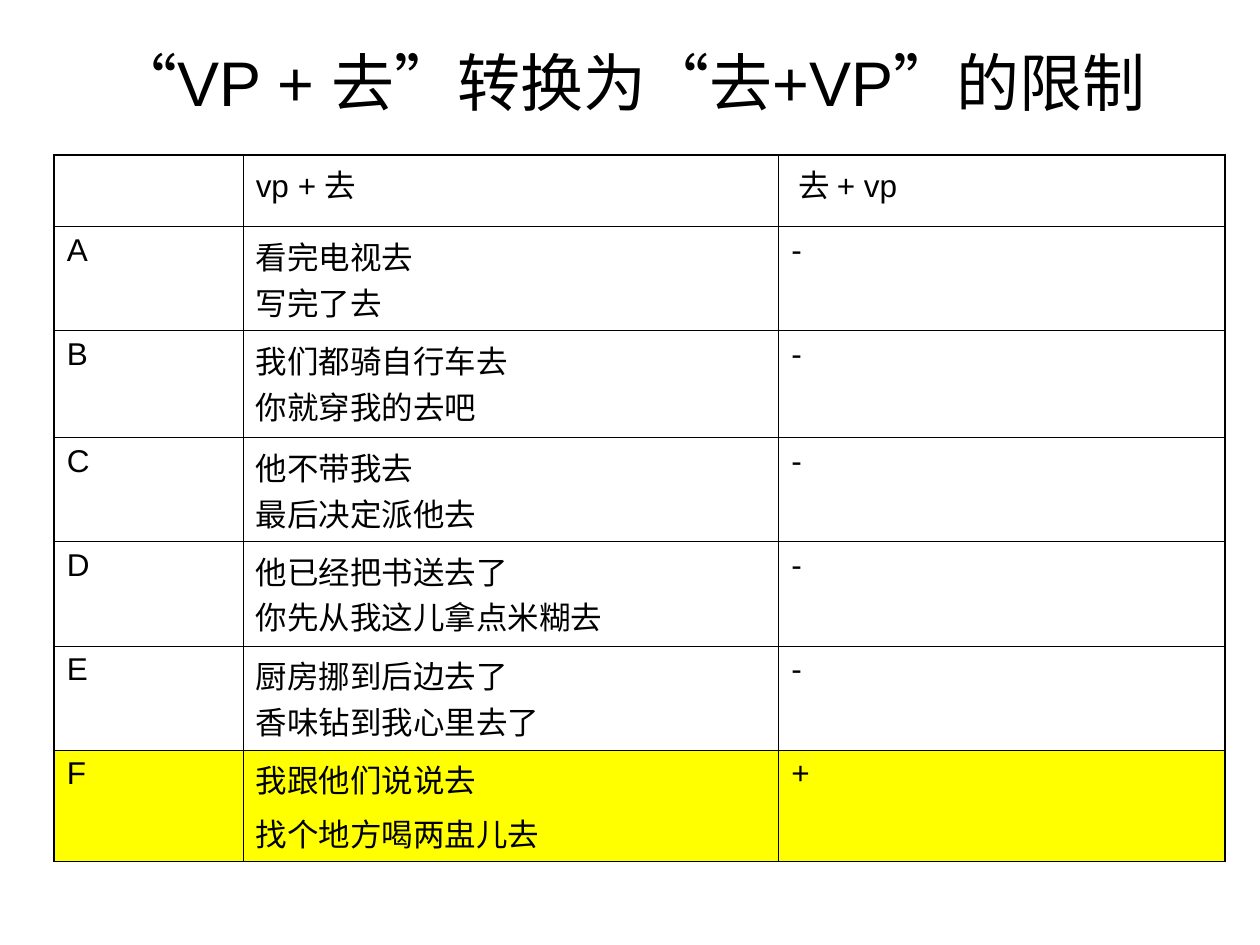
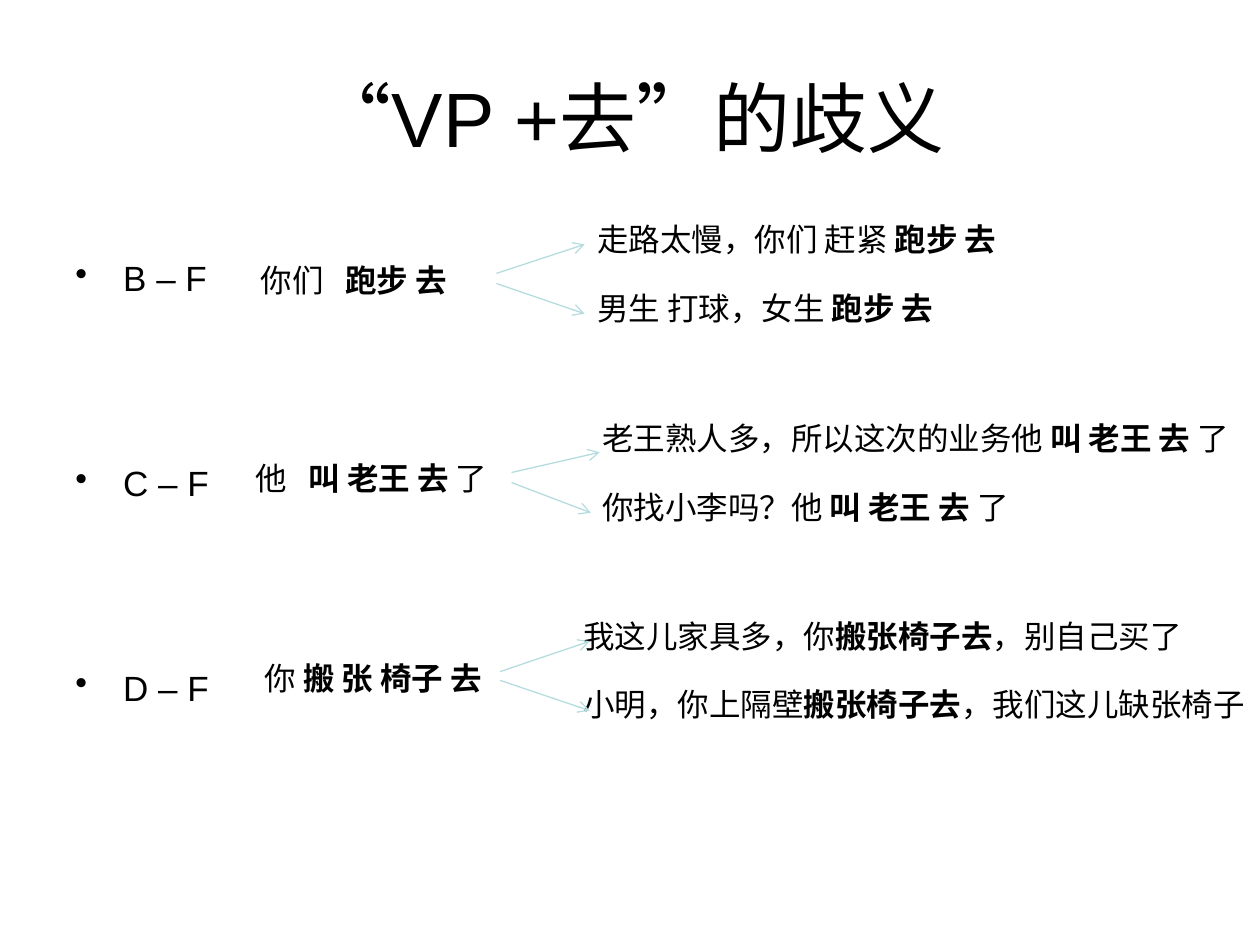
"""Build two slides on the limits and the ambiguity of the VP + 去 construction."""
from typing import NamedTuple

from pptx import Presentation
from pptx import util as u
from pptx.dml.color import RGBColor
from pptx.enum import shapes, text
from pptx.oxml.ns import qn
from lxml import etree

INK, PAPER, HIGHLIGHT, ARROW = "000000", "FFFFFF", "FFFF00", "B6DCDF"
LATIN, CJK = "Arial", "Noto Sans CJK SC"
BODY_PT = 18
OUTER_PT, INNER_PT = 1.08, 0.45
Point = tuple[float, float]


class Box(NamedTuple):
    left: float
    top: float
    width: float
    height: float


class Arrow(NamedTuple):
    start: Point
    end: Point


class Ambiguity(NamedTuple):
    phrase: str
    phrase_box: Box
    tab: float
    readings: list[str]
    readings_box: Box
    arrows: list[Arrow]


TABLE_BOX = Box(0.43, 1.23, 9.29, 5.23)
COLUMN_WIDTHS = [1.5, 4.25, 3.54]
ROW_HEIGHTS = [0.57, 0.7, 0.85, 0.7, 0.83, 0.79, 0.79]
ROWS = [
    ("", "vp + 去", " 去 + vp"),
    ("A", "看完电视去\n写完了去", "-"),
    ("B", "我们都骑自行车去\n你就穿我的去吧", "-"),
    ("C", "他不带我去\n最后决定派他去", "-"),
    ("D", "他已经把书送去了\n你先从我这儿拿点米糊去", "-"),
    ("E", "厨房挪到后边去了\n香味钻到我心里去了", "-"),
    ("F", "我跟他们说说去\n找个地方喝两盅儿去", "+"),
]
PAIRS = ["B – F", "C – F", "D – F"]
AMBIGUITIES = [
    Ambiguity("你们\t*跑步 去*", Box(1.97, 2.02, 3.62, 0.4), 0.67,
              ["走路太慢，你们 赶紧 *跑步 去*", "男生 打球，女生 *跑步 去*"],
              Box(4.64, 1.7, 3.7, 1),
              [Arrow((3.94, 2.17), (4.64, 1.94)), Arrow((3.94, 2.25), (4.64, 2.49))]),
    Ambiguity("他\t*叫 老王 去 *了", Box(1.93, 3.59, 2.52, 0.4), 0.42,
              ["老王熟人多，所以这次的业务他 *叫 老王 去 *了", "你找小李吗？他 *叫 老王 去 *了"],
              Box(4.68, 3.28, 5.32, 1),
              [Arrow((4.06, 3.75), (4.76, 3.59)), Arrow((4.06, 3.83), (4.69, 4.07))]),
    Ambiguity("你* 搬 张 椅子 去*", Box(2, 5.18, 2.25, 0.4), 0,
              ["我这儿家具多，你*搬张椅子去*，别自己买了", "小明，你上隔壁*搬张椅子去*，我们这儿缺张椅子"],
              Box(4.53, 4.85, 5.47, 1),
              [Arrow((3.97, 5.33), (4.68, 5.09)), Arrow((3.97, 5.4), (4.68, 5.64))]),
]


def color(value: str) -> RGBColor:
    return RGBColor.from_string(value)


def inches(box: Box) -> list[u.Length]:
    return [u.Inches(v) for v in box]


def format_run(r, size: float, bold: bool = False) -> None:
    r.font.name, r.font.size, r.font.bold = LATIN, u.Pt(size), bold
    r.font.color.rgb = color(INK)
    rpr = r._r.get_or_add_rPr()
    rpr.set("lang", "zh-CN")
    ea = etree.Element(qn("a:ea"), typeface=CJK)
    rpr.find(qn("a:latin")).addnext(ea)


def write(tf, lines: list[str], size: float = BODY_PT, gap: float = 0) -> None:
    tf.word_wrap = True
    for i, line in enumerate(lines):
        p = tf.paragraphs[0] if i == 0 else tf.add_paragraph()
        if i:
            p.space_before = u.Pt(gap)
        for j, piece in enumerate(line.split("*")):
            if piece:
                r = p.add_run()
                r.text = piece
                format_run(r, size, bold=j % 2 == 1)


def add_text(container, box: Box, lines: list[str], size: float = BODY_PT, gap: float = 0):
    tf = container.add_textbox(*inches(box)).text_frame
    write(tf, lines, size, gap)
    return tf


def add_titled_slide(prs, title: str, box: Box, size: float):
    s = prs.slides.add_slide(prs.slide_layouts[5])
    s.background.fill.solid()
    s.background.fill.fore_color.rgb = color(PAPER)
    sp = s.shapes.title
    sp.left, sp.top, sp.width, sp.height = inches(box)
    tf = sp.text_frame
    tf.auto_size = text.MSO_AUTO_SIZE.NONE
    tf.vertical_anchor = text.MSO_ANCHOR.MIDDLE
    write(tf, [title], size)
    tf.paragraphs[0].alignment = text.PP_ALIGN.CENTER
    return s


def set_borders(cell, outer: dict[str, bool]) -> None:
    tc_pr = cell._tc.get_or_add_tcPr()
    for side, is_outer in outer.items():
        width = u.Pt(OUTER_PT if is_outer else INNER_PT)
        ln = etree.SubElement(tc_pr, qn(f"a:ln{side}"), w=str(width))
        fill = etree.SubElement(ln, qn("a:solidFill"))
        etree.SubElement(fill, qn("a:srgbClr"), val=INK)


def add_limits_table(s) -> None:
    last_row, last_col = len(ROWS) - 1, len(COLUMN_WIDTHS) - 1
    table = s.shapes.add_table(last_row + 1, last_col + 1, *inches(TABLE_BOX)).table
    table.first_row = table.horz_banding = False
    for column, width in zip(table.columns, COLUMN_WIDTHS):
        column.width = u.Inches(width)
    for row, height in zip(table.rows, ROW_HEIGHTS):
        row.height = u.Inches(height)
    for i, values in enumerate(ROWS):
        for j, value in enumerate(values):
            cell = table.cell(i, j)
            write(cell.text_frame, value.split("\n"), gap=4.5 if i == last_row else 0)
            set_borders(cell, {"L": j == 0, "R": j == last_col, "T": i == 0, "B": i == last_row})
            if i == last_row:
                cell.fill.solid()
                cell.fill.fore_color.rgb = color(HIGHLIGHT)
            else:
                cell.fill.background()


def add_arrow(container, arrow: Arrow) -> None:
    ends = [u.Inches(v) for v in (*arrow.start, *arrow.end)]
    line = container.add_connector(shapes.MSO_CONNECTOR.STRAIGHT, *ends)
    line.line.color.rgb = color(ARROW)
    line.line.width = u.Pt(0.75)
    etree.SubElement(line.line._get_or_add_ln(), qn("a:tailEnd"), type="arrow")
    etree.SubElement(line._element.spPr, qn("a:effectLst"))


def add_pair_bullets(s) -> None:
    tf = add_text(s.shapes, Box(0.5, 1.99, 1.66, 4.05), PAIRS, size=20, gap=93)
    for p in tf.paragraphs:
        ppr = p._p.get_or_add_pPr()
        ppr.set("marL", str(u.Inches(0.38)))
        ppr.set("indent", str(u.Inches(-0.38)))
        etree.SubElement(ppr, qn("a:buChar"), char="•")


def add_ambiguity(s, item: Ambiguity) -> None:
    tf = add_text(s.shapes, item.phrase_box, [item.phrase])
    if item.tab:
        tabs = etree.SubElement(tf.paragraphs[0]._p.get_or_add_pPr(), qn("a:tabLst"))
        etree.SubElement(tabs, qn("a:tab"), pos=str(u.Inches(item.tab)), algn="l")
    group = s.shapes.add_group_shape().shapes
    add_text(group, item.readings_box, item.readings, gap=17.4)
    for arrow in item.arrows:
        add_arrow(group, arrow)


def main() -> None:
    prs = Presentation()
    prs.slide_width, prs.slide_height = u.Inches(10), u.Inches(7.5)
    s = add_titled_slide(prs, "“VP + 去”转换为“去+VP”的限制", Box(0.5, 0.3, 9, 0.69), 36)
    add_limits_table(s)
    s = add_titled_slide(prs, "“VP +去”的歧义", Box(0.5, 0.3, 9, 1.25), 44)
    add_pair_bullets(s)
    for item in AMBIGUITIES:
        add_ambiguity(s, item)
    prs.save("out.pptx")


if __name__ == "__main__":
    main()
